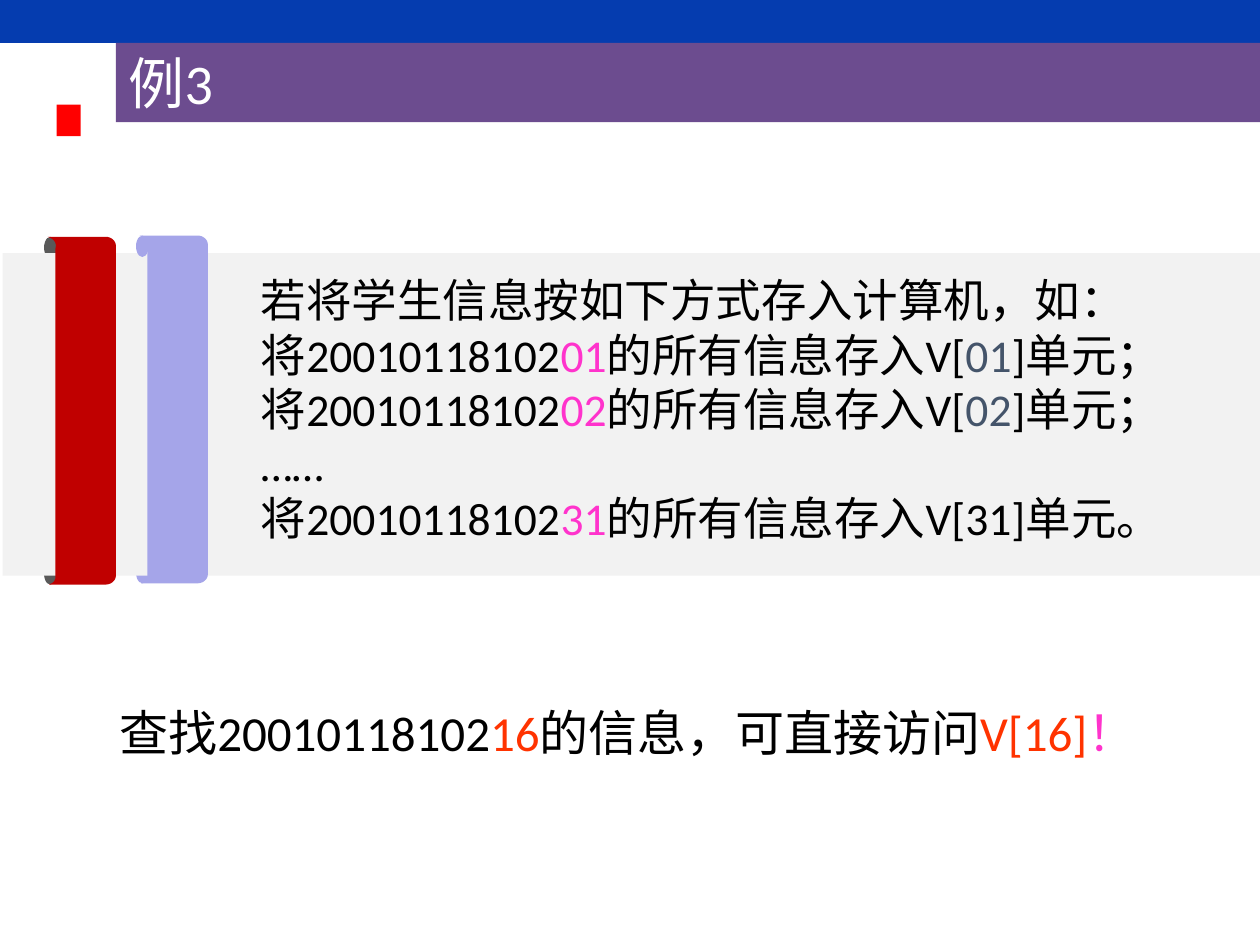
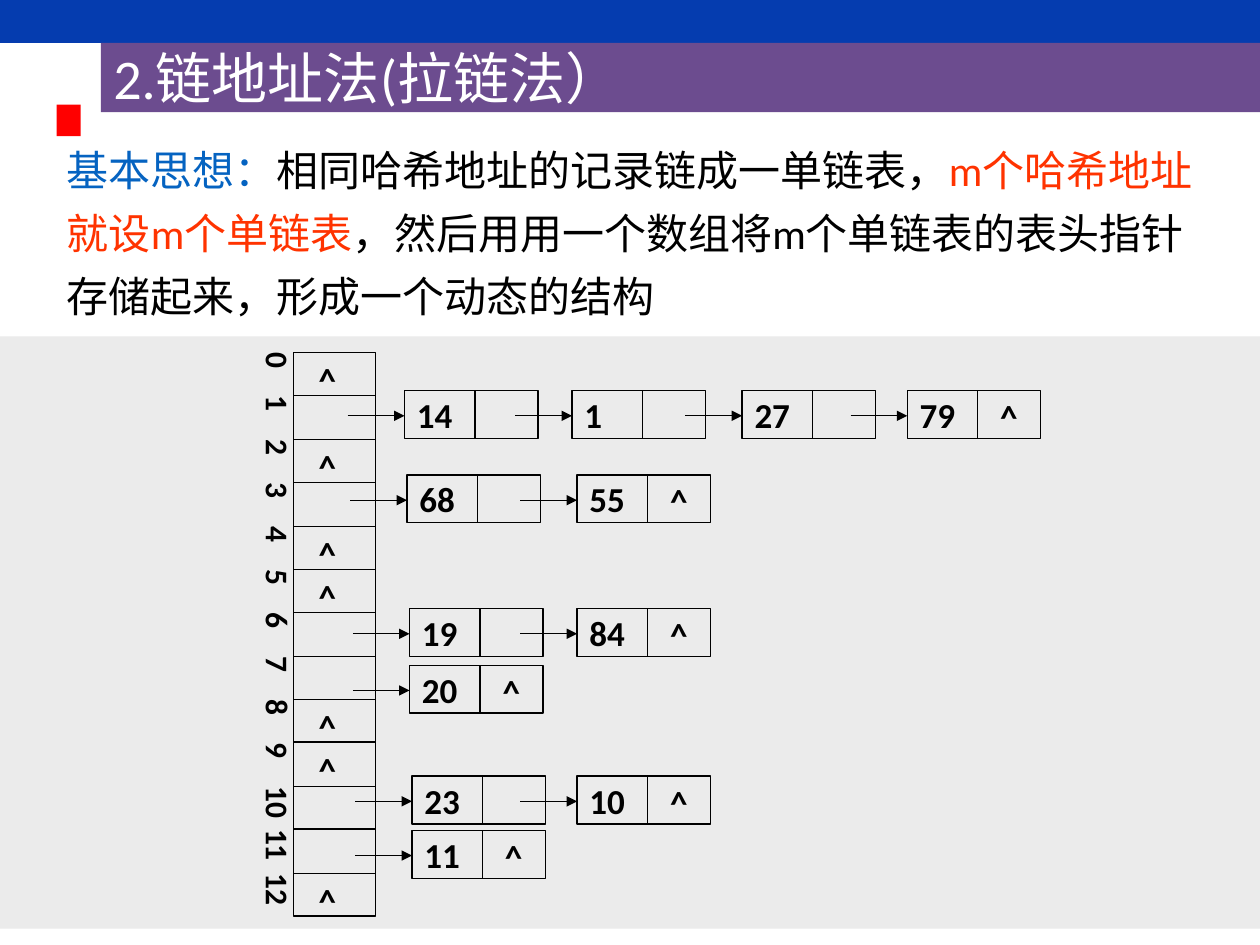
"""Build two slides on hash tables: direct access and separate chaining."""
from lxml import etree
from pptx import Presentation, util as u
from pptx.dml.color import RGBColor
from pptx.enum import shapes, text
from pptx.oxml.ns import qn

PX = 9144
FONT = "Calibri"
BLUE, RED, PURPLE = "053CAF", "FF0000", "6C4C8F"
BLACK, WHITE, SLATE, LINK = "000000", "FFFFFF", "44546A", "0563C1"
ORANGE, PINK = "FF3300", "FF33CC"
CRIMSON, LILAC, GRAY = "C00000", "A5A5E9", "595959"
PALE, PANEL = "F2F2F2", "EBEBEB"
LEFT, CENTER = text.PP_ALIGN.LEFT, text.PP_ALIGN.CENTER
TOP, MIDDLE = text.MSO_ANCHOR.TOP, text.MSO_ANCHOR.MIDDLE


def color(value):
    return RGBColor.from_string(value)


def apply(target, **values):
    for name, value in values.items():
        setattr(target, name, value)


def curve(start, first, second, end, steps=8):
    points = []
    for step in range(1, steps + 1):
        t = step / steps
        weights = ((1 - t) ** 3, 3 * t * (1 - t) ** 2, 3 * t * t * (1 - t), t ** 3)
        points.append(tuple(
            sum(w * p[axis] for w, p in zip(weights, (start, first, second, end)))
            for axis in (0, 1)))
    return points


class Deck:
    def __init__(self):
        self.presentation = Presentation()
        apply(self.presentation, slide_width=1000 * PX, slide_height=750 * PX)
        self.slide = None

    def add_slide(self, layout):
        self.slide = self.presentation.slides.add_slide(
            self.presentation.slide_layouts[layout])
        self.box((0, 0, 1000, 34), fill=BLUE)
        self.box((45, 83, 19, 25), fill=RED)

    def paint(self, shape, fill=None, line=None):
        if fill:
            shape.fill.solid()
            shape.fill.fore_color.rgb = color(fill)
        else:
            shape.fill.background()
        if line:
            shape.line.color.rgb = color(line)
            shape.line.width = u.Pt(0.75)
        else:
            shape.line.fill.background()
        shape.shadow.inherit = False

    def box(self, place, fill=None, line=None, kind=shapes.MSO_SHAPE.RECTANGLE):
        shape = self.slide.shapes.add_shape(kind, *(n * PX for n in place))
        self.paint(shape, fill, line)
        return shape

    def knob(self, left, top, fill):
        self.box((left, top, 10, 17), fill, kind=shapes.MSO_SHAPE.OVAL)

    def outline(self, points, fill):
        corners = [(round(x * PX), round(y * PX)) for x, y in points]
        builder = self.slide.shapes.build_freeform(*corners[0])
        builder.add_line_segments(corners[1:], close=True)
        self.paint(builder.convert_to_shape(), fill)

    def line(self, start, end, arrow=False):
        connector = self.slide.shapes.add_connector(
            shapes.MSO_CONNECTOR.STRAIGHT, *(n * PX for n in start + end))
        connector.line.color.rgb = color(BLACK)
        connector.line.width = u.Pt(0.75)
        if arrow:
            etree.SubElement(connector.line._get_or_add_ln(), qn("a:tailEnd"), type="triangle")
        etree.SubElement(connector.element.spPr, qn("a:effectLst"))

    def set_text(self, shape, paragraphs, size, bold=False, anchor=TOP, align=LEFT,
                 spacing=1.0, before=0, hang=0, wrap=True):
        frame = shape.text_frame
        apply(frame, word_wrap=wrap, auto_size=text.MSO_AUTO_SIZE.NONE,
              vertical_anchor=anchor)
        for index, runs in enumerate(paragraphs):
            paragraph = frame.add_paragraph() if index else frame.paragraphs[0]
            apply(paragraph, alignment=align, line_spacing=spacing,
                  space_before=u.Pt(before))
            properties = paragraph._p.get_or_add_pPr()
            properties.set("marL", str(hang * PX))
            properties.set("indent", str(-hang * PX))
            etree.SubElement(properties, qn("a:buNone"))
            for words, tint in runs:
                run = paragraph.add_run()
                run.text = words
                apply(run.font, name=FONT, size=u.Pt(size), bold=bold)
                run.font.color.rgb = color(tint)

    def placeholder(self, index, place):
        shape = self.slide.placeholders[index]
        self.slide.shapes._spTree.append(shape.element)
        apply(shape, **dict(zip(("left", "top", "width", "height"),
                                (n * PX for n in place))))
        return shape

    def title(self, words, place):
        shape = self.placeholder(0, place)
        shape.fill.solid()
        shape.fill.fore_color.rgb = color(PURPLE)
        self.set_text(shape, [[(words, WHITE)]], 32, anchor=MIDDLE)

    def body(self, place, paragraphs, size, **style):
        self.set_text(self.placeholder(1, place), paragraphs, size, **style)

    def label(self, place, runs, size, vertical=False, **style):
        shape = self.slide.shapes.add_textbox(*(n * PX for n in place))
        self.set_text(shape, [runs], size, **style)
        if vertical:
            frame = shape.text_frame
            apply(frame, margin_left=0, margin_right=0, margin_top=0, margin_bottom=0)
            frame._txBody.bodyPr.set("vert", "eaVert")

    def caret(self, left, top):
        self.label((left, top, 36, 43), [("^", BLACK)], 20, bold=True, wrap=False)

    def node(self, left, top, value, last):
        shape = self.box((left, top, 106, 38), line=BLACK)
        self.set_text(shape, [[(value, BLACK)]], 20, bold=True, anchor=MIDDLE)
        self.line((left + 56, top), (left + 56, top + 38))
        self.line((left - 45, top + 20), (left, top + 20), arrow=True)
        if last:
            self.caret(left + 64, top - 1)

    def ribbon(self, dx, dy, fill):
        points = [(44, 198), *curve((44, 198), (47, 188), (34, 188), (39, 188)),
                  (84, 188), *curve((84, 188), (88, 188), (92, 191), (92, 195)),
                  (92, 457), *curve((92, 457), (92, 461), (88, 464), (84, 464)),
                  (40, 464), *curve((40, 464), (36, 464), (45, 464), (44, 457))]
        self.outline([(x + dx, y + dy) for x, y in points], fill)


def stored(number, cell, tint):
    return [("将20010118102", BLACK), (number, PINK), ("的所有信息存入V[", BLACK),
            (cell, tint), ("]单元；" if tint == SLATE else "]单元。", BLACK)]


def direct_access(deck):
    deck.add_slide(1)
    deck.title("例3", (92, 34, 908, 63))
    deck.knob(108, 446, LILAC)
    deck.knob(35, 447, GRAY)
    deck.knob(35, 188, GRAY)
    deck.box((2, 201, 998, 256), fill=PALE)
    deck.ribbon(0, 0, CRIMSON)
    deck.knob(108, 187, LILAC)
    deck.ribbon(73, -1, LILAC)
    deck.body((197, 211, 772, 229), [
        [("若将学生信息按如下方式存入计算机，如：", BLACK)],
        stored("01", "01", SLATE),
        stored("02", "02", SLATE),
        [("……", BLACK)],
        stored("31", "31", BLACK),
    ], 26, hang=62)
    deck.label((85, 534, 883, 69), [
        ("查找20010118102", BLACK), ("16", ORANGE), ("的信息，可直接访问", BLACK),
        ("V[16]", ORANGE), ("！", PINK)], 28, spacing=1.4, before=5.6)


def chaining(deck):
    deck.add_slide(1)
    deck.box((0, 267, 1000, 470), fill=PANEL)
    deck.title("2.链地址法(拉链法）", (80, 34, 920, 55))
    deck.body((43, 100, 936, 162), [[
        ("基本思想：", LINK), ("相同哈希地址的记录链成一单链表，", BLACK),
        ("m个哈希地址就设m个单链表", ORANGE),
        ("，然后用用一个数组将m个单链表的表头指针存储起来，形成一个动态的结构", BLACK),
    ]], 24, spacing=1.25, before=12)

    left, top, width, height, slots = 233, 280, 65, 447, 13
    chains = {
        1: (310, [(321, "14"), (454, "1"), (589, "27"), (720, "79")]),
        3: (377, [(323, "68"), (458, "55")]),
        6: (483, [(325, "19"), (458, "84")]),
        7: (528, [(325, "20")]),
        10: (616, [(327, "23"), (458, "10")]),
        11: (659, [(327, "11")]),
    }
    deck.box((left, top, width, height), line=BLACK)
    for slot in range(slots):
        slot_top = top + round(slot * height / slots)
        if slot:
            deck.line((left, slot_top), (left + width, slot_top))
        deck.label((left - 27, slot_top, 30, 34), [(str(slot), BLACK)], 18,
                   vertical=True, bold=True, align=CENTER, anchor=MIDDLE, wrap=False)
        if slot not in chains:
            deck.caret(left + 10, slot_top)
            continue
        node_top, nodes = chains[slot]
        for node_left, value in nodes:
            deck.node(node_left, node_top, value, last=value == nodes[-1][1])


def main():
    deck = Deck()
    direct_access(deck)
    chaining(deck)
    deck.presentation.save("out.pptx")


if __name__ == "__main__":
    main()
